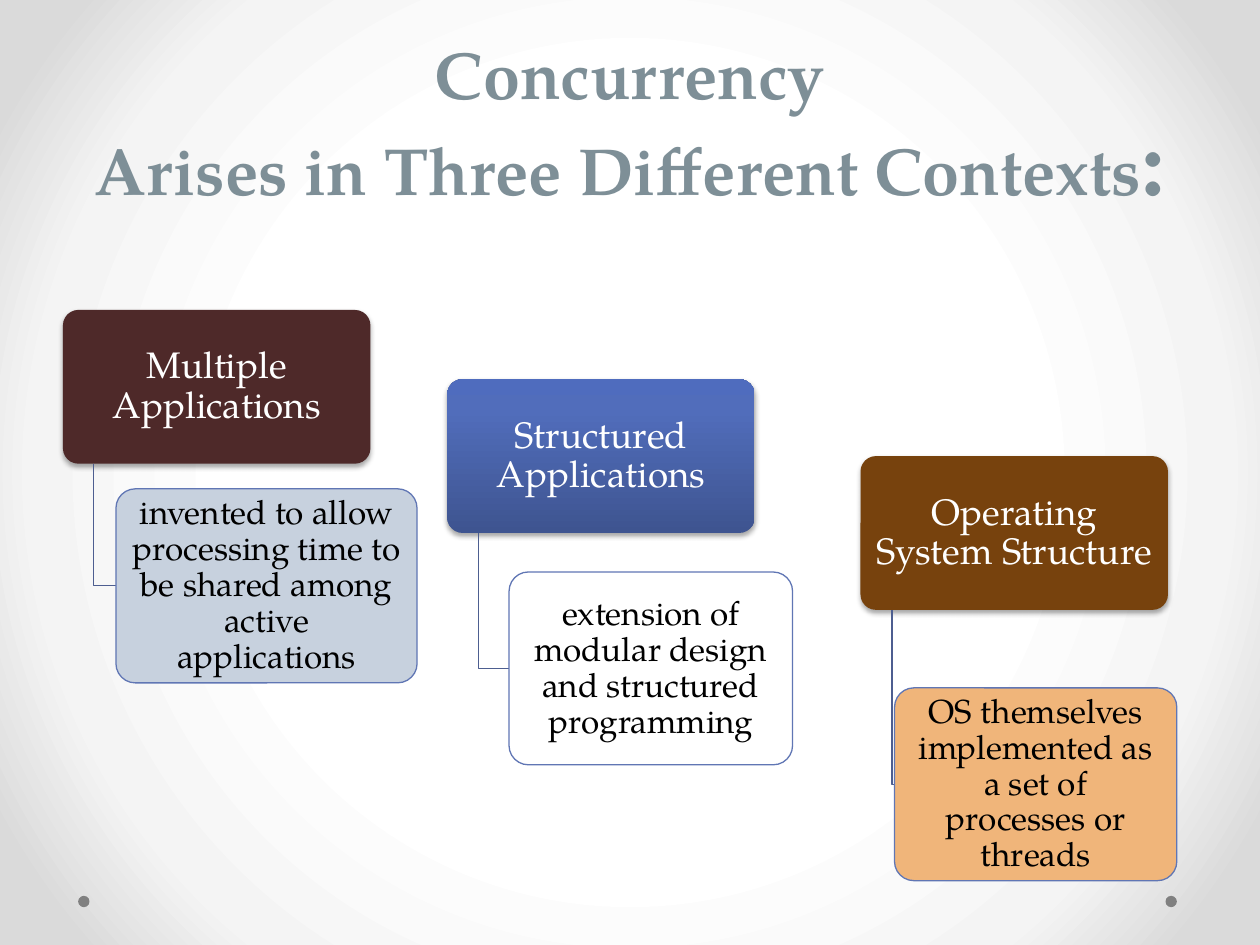
from lxml.etree import fromstring
from pptx import Presentation
from pptx.dml.color import RGBColor
from pptx.enum.shapes import MSO_SHAPE
from pptx.enum.text import MSO_ANCHOR, MSO_AUTO_SIZE, PP_ALIGN
from pptx.util import Inches, Pt

FONT = "TeX Gyre Pagella"
WHITE = RGBColor(0xFF, 0xFF, 0xFF)
BLACK = RGBColor(0x00, 0x00, 0x00)
TITLE_GRAY = RGBColor(0x7E, 0x8F, 0x97)
DOT_GRAY = RGBColor(0x80, 0x80, 0x80)
OUTLINE_BLUE = RGBColor(0x60, 0x76, 0xB4)
LINK_BLUE = RGBColor(0x4D, 0x5E, 0x90)
MAROON = RGBColor(0x4E, 0x29, 0x29)
PALE_BLUE = RGBColor(0xC7, 0xD1, 0xDE)
BROWN = RGBColor(0x77, 0x42, 0x0D)
PEACH = RGBColor(0xF0, 0xB5, 0x7A)

BACKGROUND_STOPS = [(50, "FFFFFF"), (76, "F4F4F4"), (92, "DADADA")]
BLUE_STOPS = [(0, "3E5490"), (80, "516DBB"), (100, "4F6CBE")]
CIRCLE = ('<a:path path="circle"><a:fillToRect l="50000" t="50000" '
          'r="50000" b="50000"/></a:path>')
UPWARD = '<a:lin ang="16200000" scaled="0"/>'
NS = 'xmlns:a="http://schemas.openxmlformats.org/drawingml/2006/main"'

TITLE = "Concurrency\vArises in Three Different Contexts"
HEAD_SIZE = (2.44, 1.22)
# heading, its left and top, its fill, link left;
# detail, its left, top, width and height, its fill
CONTEXTS = [
    ("Multiple Applications", (0.5, 2.46), MAROON, 0.74,
     "invented to allow processing time to be shared among active applications",
     (0.92, 3.88, 2.39, 1.54), PALE_BLUE),
    ("Structured Applications", (3.55, 3.01), BLUE_STOPS, 3.8,
     "extension of modular design and structured programming",
     (4.04, 4.54, 2.25, 1.53), WHITE),
    ("Operating System Structure", (6.83, 3.62), BROWN, 7.08,
     "OS themselves implemented as a set of processes or threads",
     (7.1, 5.46, 2.24, 1.53), PEACH),
]
DOT_LEFTS = (0.62, 9.25)


def gradient(stops, direction):
    marks = "".join(f'<a:gs pos="{pos * 1000}"><a:srgbClr val="{color}"/></a:gs>'
                    for pos, color in stops)
    return fromstring(f'<a:gradFill {NS} rotWithShape="1"><a:gsLst>{marks}'
                      f'</a:gsLst>{direction}</a:gradFill>')


def write(frame, text, size, color, spacing, bold=False,
          anchor=MSO_ANCHOR.MIDDLE, inset=(0.08, 0.07)):
    frame.word_wrap = True
    frame.auto_size = MSO_AUTO_SIZE.NONE
    frame.vertical_anchor = anchor
    frame.margin_left = frame.margin_right = Inches(inset[0])
    frame.margin_top = frame.margin_bottom = Inches(inset[1])
    paragraph = frame.paragraphs[0]
    paragraph.text = text
    paragraph.alignment = PP_ALIGN.CENTER
    paragraph.line_spacing = spacing
    for run in paragraph.runs:
        style_run(run, size, color, bold)
    return paragraph


def style_run(run, size, color, bold):
    run.font.name = FONT
    run.font.size = Pt(size)
    run.font.bold = bold
    run.font.color.rgb = color


def add_shape(slide, kind, box, fill, line=None):
    shape = slide.shapes.add_shape(kind, *map(Inches, box))
    shape.shadow.inherit = False
    if isinstance(fill, list):
        shape.fill.background()
        properties = shape._element.spPr
        properties.replace(properties.find("{*}noFill"), gradient(fill, UPWARD))
    else:
        shape.fill.solid()
        shape.fill.fore_color.rgb = fill
    if line is None:
        shape.line.fill.background()
    else:
        shape.line.color.rgb = line
        shape.line.width = Pt(0.75)
    return shape


def add_card(slide, box, fill, text, size, color, line=None):
    card = add_shape(slide, MSO_SHAPE.ROUNDED_RECTANGLE, box, fill, line)
    card.adjustments[0] = 0.1
    write(card.text_frame, text, size, color, 0.9)
    return card


def drop_shadow(shape):
    shape._element.spPr.find("{*}effectLst").append(fromstring(
        f'<a:outerShdw {NS} blurRad="{Pt(3.1)}" dist="{Pt(1.8)}" dir="5400000" '
        'rotWithShape="0"><a:srgbClr val="000000"><a:alpha val="35000"/>'
        '</a:srgbClr></a:outerShdw>'))


def add_link(slide, left, top, right, bottom):
    builder = slide.shapes.build_freeform(Inches(left), Inches(top))
    builder.add_line_segments([(Inches(left), Inches(bottom)),
                               (Inches(right), Inches(bottom))], close=False)
    link = builder.convert_to_shape()
    link.shadow.inherit = False
    link.fill.background()
    link.line.color.rgb = LINK_BLUE
    link.line.width = Pt(0.75)


def main():
    deck = Presentation()
    deck.slide_width, deck.slide_height = Inches(10), Inches(7.5)
    slide = deck.slides.add_slide(deck.slide_layouts[5])

    slide.background.fill.background()
    backdrop = slide._element.cSld.find("{*}bg/{*}bgPr")
    backdrop.replace(backdrop.find("{*}noFill"),
                     gradient(BACKGROUND_STOPS, CIRCLE))

    for left in DOT_LEFTS:
        add_shape(slide, MSO_SHAPE.OVAL, (left, 7.11, 0.09, 0.09), DOT_GRAY)

    title = slide.shapes.title
    title.left, title.top = Inches(0.5), Inches(0)
    title.width, title.height = Inches(9), Inches(1.75)
    heading = write(title.text_frame, TITLE, 38, TITLE_GRAY, Pt(58), bold=True,
                    anchor=MSO_ANCHOR.BOTTOM, inset=(0.1, 0.05))
    colon = heading.add_run()
    colon.text = ":"
    style_run(colon, 54, TITLE_GRAY, True)

    for head, corner, head_fill, link_left, detail, box, detail_fill in CONTEXTS:
        drop_shadow(add_card(slide, corner + HEAD_SIZE, head_fill, head, 21, WHITE))
        left, top, _, height = box
        add_link(slide, link_left, corner[1] + HEAD_SIZE[1], left, top + height / 2)
        add_card(slide, box, detail_fill, detail, 19, BLACK, OUTLINE_BLUE)

    deck.save("out.pptx")


if __name__ == "__main__":
    main()
